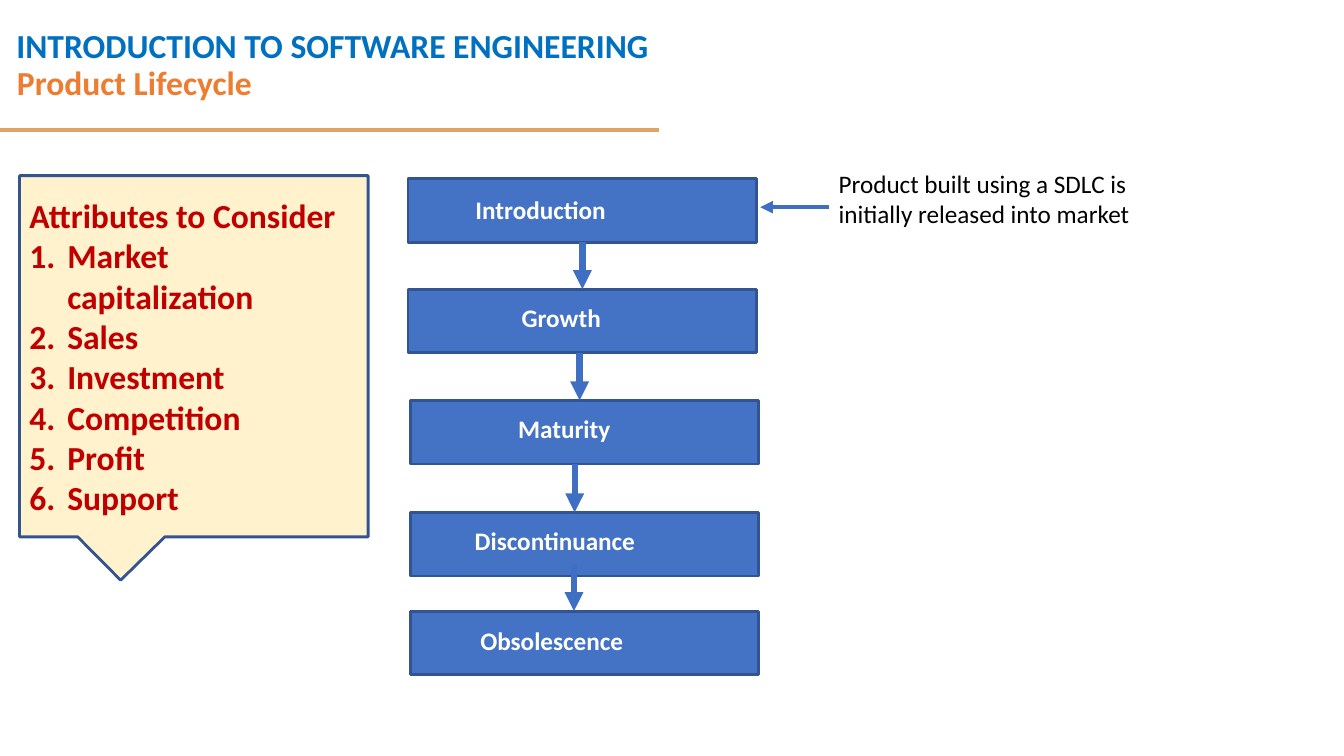
from pptx import Presentation
from pptx.dml.color import RGBColor
from pptx.enum.shapes import MSO_CONNECTOR as CONN, MSO_SHAPE as SHAPE
from pptx.enum.text import MSO_ANCHOR as ANCHOR, MSO_AUTO_SIZE as AUTO, PP_ALIGN as ALIGN
from pptx.oxml.ns import qn
from pptx.util import Pt
from lxml.etree import SubElement

BLUE, EDGE, ARROW = "4472C4", "325491", "3F6FC3"
WHITE, RED = "FFFFFF", "C00000"

# label, box left, box top, label left, label top, label width
STAGES = [
    ("Introduction", 0, 0, 41, 8, 140),
    ("Growth", 0, 79, 74, 6, 89),
    ("Maturity", 1.5, 158.5, 71.5, 6, 101),
    ("Discontinuance", 1.5, 238.5, 40.5, 6, 170),
    ("Obsolescence", 1.5, 309, 44.5, 6.5, 153),
]
# arrow centre from the column's left edge, start offset from the box bottom
ARROWS = [(124.5, 0), (122.5, 0), (119, 0), (118.5, -8.5)]
ATTRIBUTES = ["Market capitalization", "Sales", "Investment",
              "Competition", "Profit", "Support"]


def rgb(color):
    return RGBColor.from_string(color)


def place(sp, x, y, w, h):
    sp.left, sp.top, sp.width, sp.height = Pt(x), Pt(y), Pt(w), Pt(h)


def add_run(p, text, size, color, bold=True):
    p.alignment = ALIGN.LEFT
    r = p.add_run()
    r.text = text
    r.font.name, r.font.size, r.font.bold = "Calibri", Pt(size), bold
    r.font.color.rgb = rgb(color)


def add_text(slide, text, x, y, w, h, size, color, bold=True):
    tf = slide.shapes.add_textbox(Pt(x), Pt(y), Pt(w), Pt(h)).text_frame
    tf.word_wrap = True
    add_run(tf.paragraphs[0], text, size, color, bold)


def add_panel(slide, kind, x, y, w, h, fill):
    sp = slide.shapes.add_shape(kind, Pt(x), Pt(y), Pt(w), Pt(h))
    sp.shadow.inherit = False
    sp.fill.solid()
    sp.fill.fore_color.rgb = rgb(fill)
    sp.line.color.rgb = rgb(EDGE)
    sp.line.width = Pt(2)
    return sp


def add_line(slide, x1, y1, x2, y2, color, width, arrow=True):
    line = slide.shapes.add_connector(CONN.STRAIGHT, Pt(x1), Pt(y1), Pt(x2), Pt(y2))
    line.line.color.rgb = rgb(color)
    line.line.width = Pt(width)
    if arrow:
        SubElement(line.line._get_or_add_ln(), qn("a:tailEnd"), type="triangle")
    SubElement(line._element.spPr, qn("a:effectLst"))
    return line


def add_header(slide, x, y, w, h):
    # Course title
    title = slide.shapes.title
    place(title, x + 4.5, y, w, 50.5)
    tf = title.text_frame
    tf.auto_size, tf.vertical_anchor, tf.word_wrap = AUTO.NONE, ANCHOR.TOP, True
    p = tf.paragraphs[0]
    p.line_spacing = 1.5
    add_run(p, "INTRODUCTION TO SOFTWARE ENGINEERING", 24, "0070C0")
    # Rule and topic
    add_line(slide, x, y + h, x + 471, y + h, "DFA267", 3, arrow=False)
    add_text(slide, "Product Lifecycle", x + 5, y + 40.5, 630, 36, 24, "ED7D31")


def add_lifecycle(slide, x, y, w, h):
    # Stage boxes with their labels
    boxes = []
    for label, dx, dy, label_dx, label_dy, label_w in STAGES:
        boxes.append(add_panel(slide, SHAPE.RECTANGLE, x + dx, y + dy, w, h, BLUE))
        add_text(slide, label, x + label_dx, y + dy + label_dy, label_w, 29, 18, WHITE)
    # Arrows between stages
    for i, (dx, start) in enumerate(ARROWS):
        top, bottom = y + STAGES[i][2] + h + start, y + STAGES[i + 1][2]
        arrow = add_line(slide, x + dx, top, x + dx, bottom, ARROW, 4.5)
        if dx == w / 2:
            arrow.begin_connect(boxes[i], 2)
            arrow.end_connect(boxes[i + 1], 0)


def add_note(slide, x, y, w, h):
    add_line(slide, x, y + 31.5, x - 49, y + 31.5, ARROW, 3)
    add_text(slide, "Product built using a SDLC is initially released into market",
             x, y, w, h, 18, "000000", bold=False)


def add_attributes(slide, x, y, w, h):
    sp = add_panel(slide, SHAPE.RECTANGULAR_CALLOUT, x, y, w, h, "FFF2CC")
    sp.adjustments[0], sp.adjustments[1] = -0.21, 0.62
    tf = sp.text_frame
    tf.word_wrap, tf.vertical_anchor = True, ANCHOR.MIDDLE
    add_run(tf.paragraphs[0], "Attributes to Consider", 24, RED)
    # Numbered list
    for item in ATTRIBUTES:
        p = tf.add_paragraph()
        pPr = p._p.get_or_add_pPr()
        pPr.set("marL", str(Pt(27)))
        pPr.set("indent", str(-Pt(27)))
        SubElement(SubElement(pPr, qn("a:buClr")), qn("a:srgbClr"), val=RED)
        SubElement(pPr, qn("a:buFont"), typeface="+mj-lt")
        SubElement(pPr, qn("a:buAutoNum"), type="arabicPeriod")
        add_run(p, item, 24, RED)


def main():
    prs = Presentation()
    prs.slide_width, prs.slide_height = Pt(960), Pt(540)
    slide = prs.slides.add_slide(prs.slide_layouts[5])
    add_header(slide, 0, 0, 710.5, 93)
    add_lifecycle(slide, 291.5, 127.5, 249, 45.5)
    add_note(slide, 592, 116.5, 266.5, 72)
    add_attributes(slide, 14, 125.5, 249, 258)
    prs.save("out.pptx")


if __name__ == "__main__":
    main()
